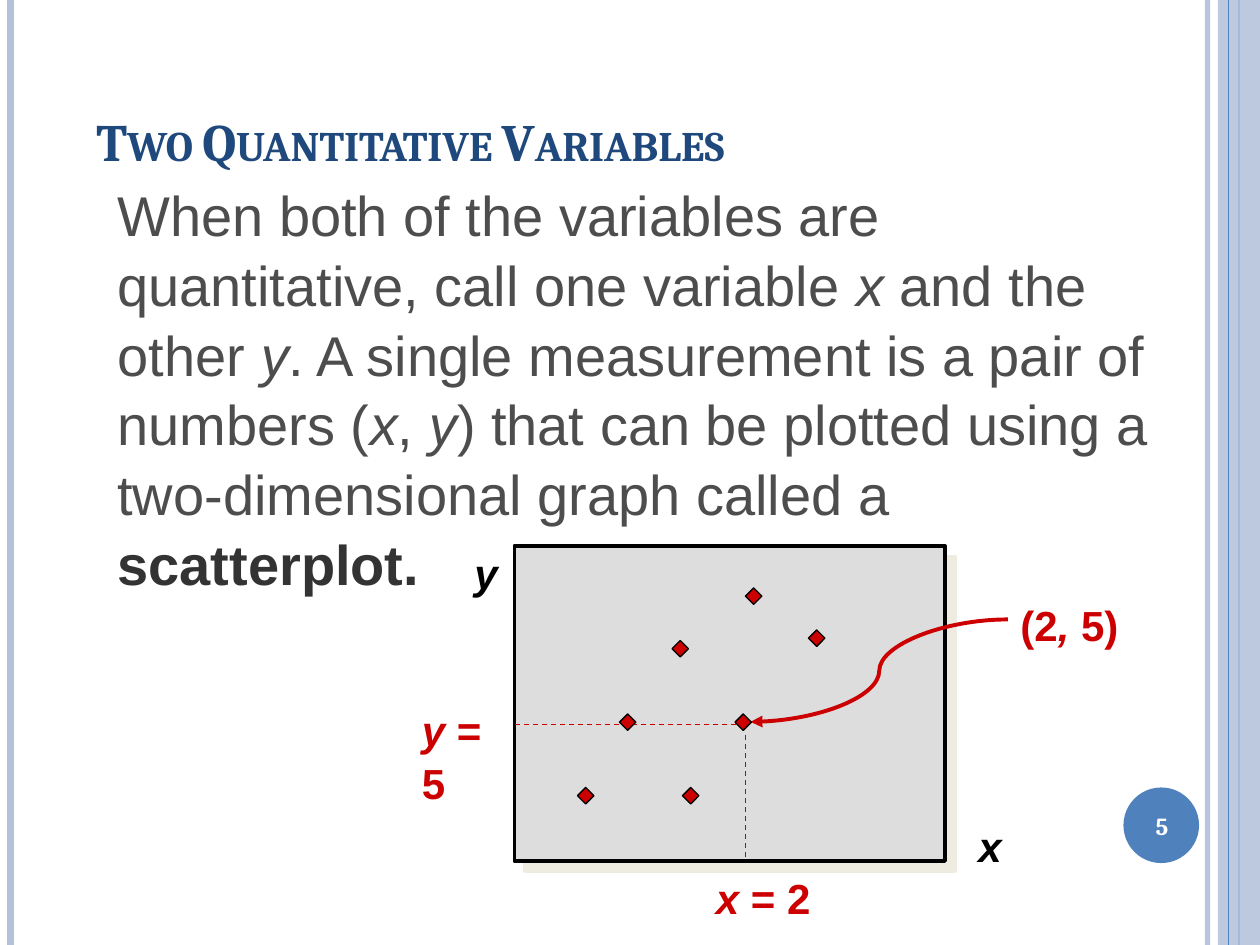
"""Build a slide that explains a scatterplot of two quantitative variables."""
from lxml import etree
from pptx import Presentation
from pptx import util as u
from pptx.dml import color
from pptx.enum import dml, shapes, text
from pptx.oxml import ns

Pt = u.Pt
COLOURS = {
    "pale": "B3C1DB", "blue": "4F81BD", "navy": "1F497D", "body": "4D4D4D",
    "term": "333333", "plot": "DDDDDD", "shade": "EEECE1", "red": "CC0000",
    "black": "000000", "white": "FFFFFF",
}
RGB = {name: color.RGBColor.from_string(value) for name, value in COLOURS.items()}

deck = Presentation()
deck.slide_width, deck.slide_height = Pt(720), Pt(540)
slide = deck.slides.add_slide(deck.slide_layouts[6])
parts = slide.shapes


def add_line(start, end, hue, width, kind=shapes.MSO_CONNECTOR.STRAIGHT):
    line = parts.add_connector(kind, *map(Pt, start + end))
    line.line.color.rgb = RGB[hue]
    line.line.width = Pt(width)
    etree.SubElement(line._element.spPr, ns.qn("a:effectLst"))
    return line


def add_text(box, runs, **style):
    label = parts.add_textbox(*map(Pt, box))
    frame = label.text_frame
    frame_format = {"word_wrap": True, "auto_size": text.MSO_AUTO_SIZE.NONE,
                    **style.get("frame", {})}
    for key, value in frame_format.items():
        setattr(frame, key, value)
    paragraph = frame.paragraphs[0]
    for key, value in style.get("paragraph", {}).items():
        setattr(paragraph, key, value)
    for words, changes in runs:
        run = paragraph.add_run()
        run.text = words
        font_format = {**style["font"], **changes}
        run.font.color.rgb = RGB[font_format.pop("hue")]
        for key, value in font_format.items():
            setattr(run.font, key, value)
    return label


rails = [(690, "pale", 3), (6, "pale", 4.5), (708, "blue", 1.5)]
for x, hue, width in rails:
    rail = add_line((x, 0), (x, 540), hue, width)
    if x == 690:
        tint = rail.line._ln.find(".//" + ns.qn("a:srgbClr"))
        etree.SubElement(tint, ns.qn("a:alpha"), val="93000")

band = parts.add_shape(shapes.MSO_SHAPE.RECTANGLE, Pt(696), 0, Pt(24), Pt(540))
band.shadow.inherit = False
band.fill.solid()
band.fill.fore_color.rgb = RGB["pale"]
band.line.fill.background()
tint = band._element.spPr.find(".//" + ns.qn("a:srgbClr"))
etree.SubElement(tint, ns.qn("a:alpha"), val="87000")
add_line((702, 0), (702, 540), "blue", 0.75)

badge = parts.add_shape(shapes.MSO_SHAPE.OVAL, Pt(642), Pt(450), Pt(43.2), Pt(43.2))
badge.shadow.inherit = False
badge.fill.solid()
badge.fill.fore_color.rgb = RGB["blue"]
badge.line.fill.background()

heading = {"name": "Cambria", "size": Pt(30), "bold": True, "hue": "navy"}
title = add_text((48, 12, 660, 90), [("Two Quantitative Variables", {})], font=heading,
                 frame={"vertical_anchor": text.MSO_ANCHOR.BOTTOM})
title.text_frame.paragraphs[0].runs[0].font._element.set("cap", "small")

slanted = {"italic": True}
upright = {"italic": False}
roomy = {"frame": {"margin_top": Pt(5.5)}, "paragraph": {"line_spacing": 1.04}}
explanation = [
    ("When both of the variables are quantitative, call one variable ", {}),
    ("x", slanted), (" and the other ", {}), ("y", slanted),
    (". A single measurement is a pair of numbers (", {}),
    ("x", slanted), (", ", {}), ("y", slanted),
    (") that can be plotted using a two-dimensional graph called a ", {}),
    ("scatterplot.", {"bold": True, "hue": "term"}),
]
add_text((60, 96, 630, 199.5), explanation,
         font={"name": "Arial", "size": Pt(32), "hue": "body"}, **roomy)

plot = parts.add_shape(shapes.MSO_SHAPE.RECTANGLE, Pt(294), Pt(312), Pt(246), Pt(180))
plot.shadow.inherit = False
plot.fill.solid()
plot.fill.fore_color.rgb = RGB["plot"]
plot.line.color.rgb = RGB["black"]
plot.line.width = Pt(2.25)
shadow = etree.SubElement(plot._element.spPr.find(ns.qn("a:effectLst")),
                          ns.qn("a:outerShdw"), dist=str(Pt(8.5)), dir="2700000",
                          algn="ctr", rotWithShape="0")
etree.SubElement(shadow, ns.qn("a:srgbClr"), val=COLOURS["shade"])

arrow = add_line((576, 354), (429, 412.5), "red", 2.25, shapes.MSO_CONNECTOR.CURVE)
etree.SubElement(arrow.line._ln, ns.qn("a:tailEnd"), type="triangle")
for start, end in [((426, 420), (426, 492)), ((426, 414), (294, 414))]:
    guide = add_line(start, end, "red", 0.75)
    guide.line.dash_style = dml.MSO_LINE.DASH

labels = [
    ((264, 306, 30, 36), "black", [("y", {})]),
    ((552, 462, 42, 36), "black", [("x", {})]),
    ((576, 336, 96, 36), "red", [("(2", upright), (", ", {}), ("5)", upright)]),
    ((402, 492, 96, 36), "red", [("x", {}), (" = 2", upright)]),
    ((234, 396, 66, 65), "red", [("y", {}), (" = 5", upright)]),
]
for box, hue, runs in labels:
    add_text(box, runs, font={"name": "Arial", "size": Pt(24), "bold": True,
                              "italic": True, "hue": hue}, **roomy)

measurements = [(354, 408), (462, 360), (426, 336), (390, 450), (330, 450),
                (384, 366), (420, 408)]
for x, y in measurements:
    point = parts.add_shape(shapes.MSO_SHAPE.DIAMOND, Pt(x), Pt(y), Pt(9.4), Pt(9.4))
    point.shadow.inherit = False
    point.fill.solid()
    point.fill.fore_color.rgb = RGB["red"]
    point.line.color.rgb = RGB["black"]
    point.line.width = Pt(0.75)

add_text((640, 451.5, 48, 41), [("5", {})],
         font={"name": "Cambria", "size": Pt(14), "bold": True, "hue": "white"},
         frame={"vertical_anchor": text.MSO_ANCHOR.MIDDLE},
         paragraph={"alignment": text.PP_ALIGN.CENTER})

deck.save("out.pptx")
